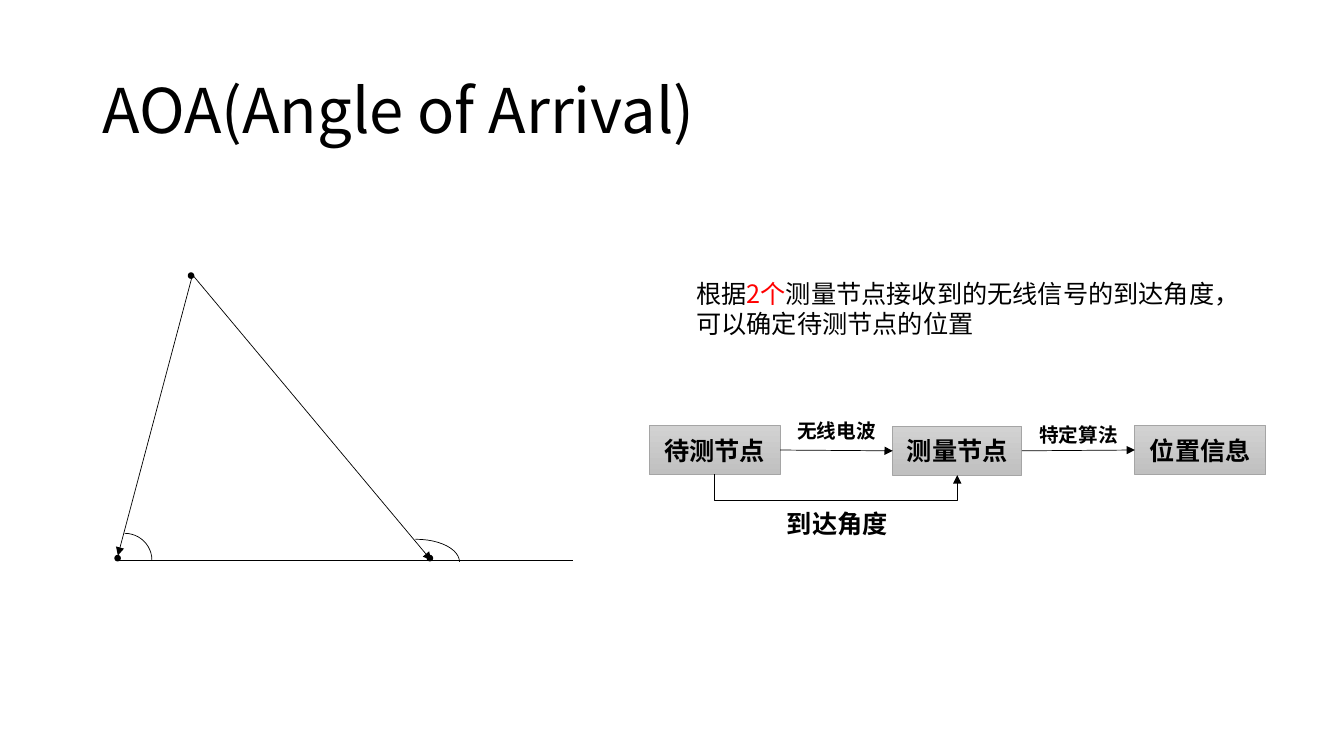
from typing import NamedTuple

from lxml.etree import SubElement
from pptx import Presentation
from pptx.dml.color import RGBColor
from pptx.enum.shapes import MSO_CONNECTOR, MSO_SHAPE
from pptx.enum.text import MSO_ANCHOR, PP_ALIGN
from pptx.oxml.ns import qn
from pptx.shapes.autoshape import Shape
from pptx.shapes.connector import Connector
from pptx.slide import Slide
from pptx.text.text import _Run
from pptx.util import Cm, Pt

FONT = "Noto Sans CJK SC"
BLACK = RGBColor(0, 0, 0)
WHITE = RGBColor(255, 255, 255)
RED = RGBColor(255, 0, 0)
BORDER = RGBColor(0xA5, 0xA5, 0xA5)
GRADIENT = (RGBColor(0xD2, 0xD2, 0xD2), RGBColor(0xC0, 0xC0, 0xC0))


class Area(NamedTuple):
    """Left, top, width and height in centimetres."""
    left: float
    top: float
    width: float
    height: float

    def lengths(self) -> list[Cm]:
        return [Cm(value) for value in self]


class Segment(NamedTuple):
    start: tuple[float, float]
    end: tuple[float, float]
    arrow: bool


class Label(NamedTuple):
    text: str
    area: Area
    size: int


DOTS = [Area(left, top, 0.13, 0.13) for left, top in ((2.9, 14), (10.77, 14), (4.75, 6.88))]
RAYS = [
    Segment((4.83, 7.01), (2.97, 14), True),
    Segment((4.88, 6.96), (10.87, 14.12), True),
    Segment((2.92, 14.12), (14.45, 14.12), False),
]
ARCS = [(Area(2.46, 13.44, 1.37, 1.35), 162), (Area(9.4, 13.59, 2.18, 1.14), 160.86)]
NODES = [
    Label("待测节点", Area(16.36, 10.72, 3.3, 1.24), 18),
    Label("测量节点", Area(22.5, 10.74, 3.25, 1.24), 18),
    Label("位置信息", Area(28.6, 10.72, 3.3, 1.24), 18),
]
CAPTIONS = [
    Label("到达角度", Area(18.47, 12.57, 5.26, 1.24), 18),
    Label("无线电波", Area(19.76, 10.52, 2.64, 0.69), 14),
    Label("特定算法", Area(25.86, 10.62, 2.64, 0.69), 14),
]


def format_run(run: _Run, size: int, color: RGBColor = BLACK, bold: bool = False) -> None:
    run.font.size = Pt(size)
    run.font.bold = bold
    run.font.color.rgb = color
    run.font.name = FONT
    SubElement(run.font._element, qn("a:ea"), typeface=FONT)


def add_outline(slide: Slide, kind: MSO_SHAPE, area: Area) -> Shape:
    shape = slide.shapes.add_shape(kind, *area.lengths())
    shape.shadow.inherit = False
    shape.fill.background()
    shape.line.color.rgb = BLACK
    shape.line.width = Pt(0.5)
    return shape


def add_label(slide: Slide, label: Label) -> Shape:
    shape = add_outline(slide, MSO_SHAPE.RECTANGLE, label.area)
    shape.text_frame.text = label.text
    shape.text_frame.vertical_anchor = MSO_ANCHOR.MIDDLE
    paragraph = shape.text_frame.paragraphs[0]
    paragraph.alignment = PP_ALIGN.CENTER
    format_run(paragraph.runs[0], label.size, bold=True)
    return shape


def add_node(slide: Slide, label: Label) -> Shape:
    shape = add_label(slide, label)
    shape.fill.gradient()
    shape.fill.gradient_angle = 270
    for stop, color in zip(shape.fill.gradient_stops, GRADIENT):
        stop.color.rgb = color
    shape.line.color.rgb = BORDER
    return shape


def add_caption(slide: Slide, label: Label) -> None:
    shape = add_label(slide, label)
    shape.fill.solid()
    shape.fill.fore_color.rgb = WHITE
    shape.line.fill.background()


def add_line(slide: Slide, segment: Segment, kind: MSO_CONNECTOR = MSO_CONNECTOR.STRAIGHT) -> Connector:
    ends = [Cm(value) for value in (*segment.start, *segment.end)]
    connector = slide.shapes.add_connector(kind, *ends)
    connector.line.color.rgb = BLACK
    connector.line.width = Pt(0.5)
    if segment.arrow:
        SubElement(connector.line._get_or_add_ln(), qn("a:tailEnd"), type="triangle")
    SubElement(connector._element.spPr, qn("a:effectLst"))
    return connector


def join(slide: Slide, first: Shape, second: Shape, sides: tuple[int, int],
         kind: MSO_CONNECTOR = MSO_CONNECTOR.STRAIGHT) -> Connector:
    connector = add_line(slide, Segment((0, 0), (1, 1), True), kind)
    connector.begin_connect(first, sides[0])
    connector.end_connect(second, sides[1])
    return connector


def bend_below(connector: Connector, area: Area, depth: float) -> None:
    """Turn an elbow on its side so that it dips below both ends."""
    connector.left, connector.top, connector.width, connector.height = area.lengths()
    properties = connector._element.spPr
    frame = properties.find(qn("a:xfrm"))
    frame.set("rot", str(270 * 60000))
    frame.set("flipH", "1")
    guides = properties.find(qn("a:prstGeom")).find(qn("a:avLst"))
    ratio = round(depth / area.width * 100000)
    SubElement(guides, qn("a:gd"), name="adj1", fmla=f"val {ratio}")


def add_title(slide: Slide) -> None:
    box = slide.shapes.add_textbox(*Area(2.33, 1.01, 29.21, 3.68).lengths())
    box.text_frame.word_wrap = True
    box.text_frame.vertical_anchor = MSO_ANCHOR.MIDDLE
    box.text_frame.text = "AOA(Angle of Arrival)"
    paragraph = box.text_frame.paragraphs[0]
    paragraph.line_spacing = 0.9
    format_run(paragraph.runs[0], 44)


def add_explanation(slide: Slide) -> None:
    box = slide.shapes.add_textbox(*Area(17.3, 6.88, 14.38, 1.8).lengths())
    frame = box.text_frame
    frame.word_wrap = False
    lines = [
        [("根据", BLACK), ("2个", RED), ("测量节点接收到的无线信号的到达角度，", BLACK)],
        [("可以确定待测节点的位置", BLACK)],
    ]
    for index, pieces in enumerate(lines):
        paragraph = frame.add_paragraph() if index else frame.paragraphs[0]
        for text, color in pieces:
            run = paragraph.add_run()
            run.text = text
            format_run(run, 18, color)


def main() -> None:
    presentation = Presentation()
    presentation.slide_width, presentation.slide_height = Cm(33.87), Cm(19.05)
    slide = presentation.slides.add_slide(presentation.slide_layouts[6])
    add_title(slide)

    # Triangle with the two arrival angles
    for area in DOTS:
        dot = add_outline(slide, MSO_SHAPE.FLOWCHART_CONNECTOR, area)
        dot.fill.solid()
        dot.fill.fore_color.rgb = BLACK
        dot.line.width = Pt(1)
    for ray in RAYS:
        add_line(slide, ray)
    for area, start_angle in ARCS:
        arc = add_outline(slide, MSO_SHAPE.ARC, area)
        arc.adjustments[0] = start_angle

    add_explanation(slide)

    # Flow from unknown node to position
    target, sensor, position = [add_node(slide, label) for label in NODES]
    for label in CAPTIONS:
        add_caption(slide, label)
    join(slide, target, sensor, (3, 1))
    join(slide, sensor, position, (3, 1))
    elbow = join(slide, target, sensor, (2, 2), MSO_CONNECTOR.ELBOW)
    bend_below(elbow, Area(21.06, 8.91, 0.02, 6.11), 0.66)

    presentation.save("out.pptx")


if __name__ == "__main__":
    main()
